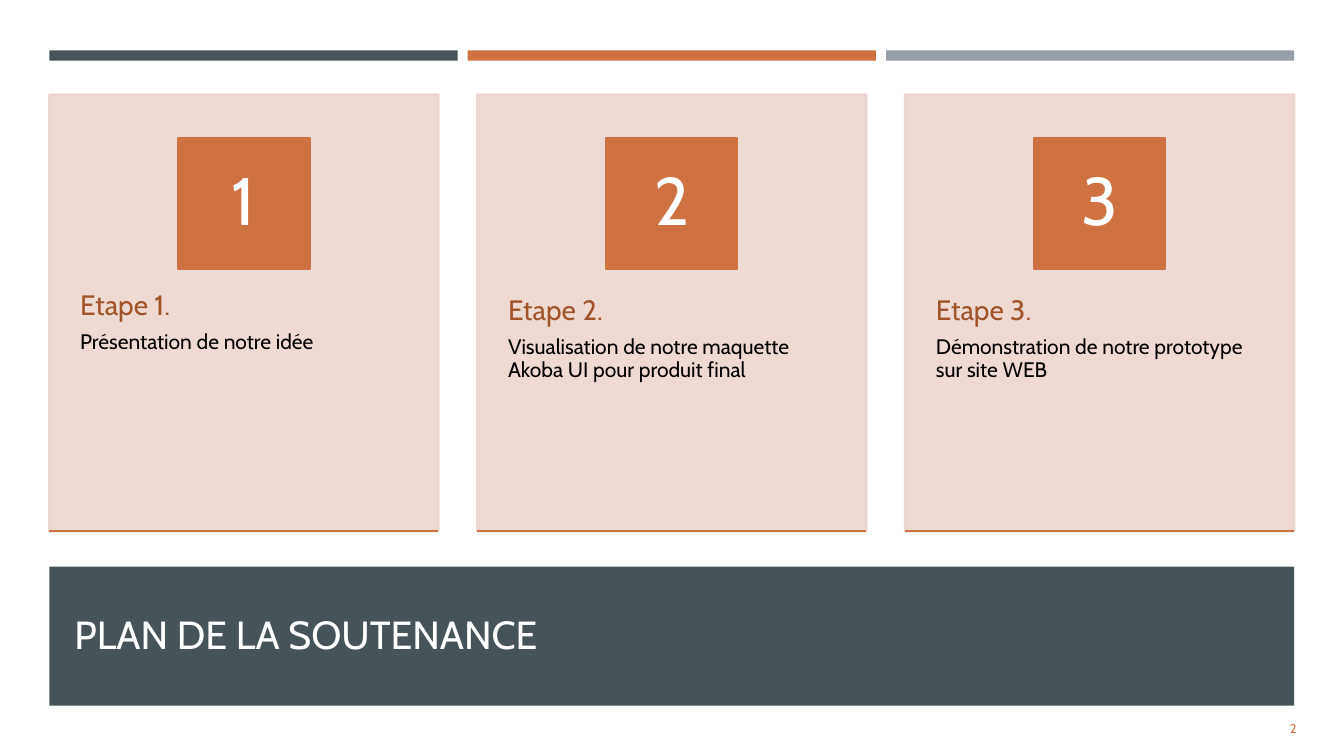
import pptx
import pptx.util
import pptx.dml.color
import pptx.enum.shapes
import pptx.enum.text
import pptx.oxml.ns
import lxml.etree

Pt = pptx.util.Pt
Align = pptx.enum.text.PP_ALIGN
Anchor = pptx.enum.text.MSO_ANCHOR

title = "PLAN DE LA SOUTENANCE"
page = "2"
steps = [
    ("1", "Etape 1.", "Présentation de notre idée"),
    ("2", "Etape\u00a02.".replace("\u00a0", " "), "Visualisation de notre maquette Akoba UI pour produit final"),
    ("3", "Etape 3.", "Démonstration de notre prototype sur site WEB"),
]
SLATE, RUST, GREY, PINK = "465359", "CE7242", "969FA7", "EDD5CF"
bars = [SLATE, RUST, GREY]

LEFT, WIDE = 35.28, 889.2
BAR_W = 291.6
CARD_W, CARD_H, CARD_Y = 277.92, 311.76, 67.68
SIDE = 93.6

deck = pptx.Presentation()
deck.slide_width, deck.slide_height = Pt(960), Pt(540)
slide = deck.slides.add_slide(deck.slide_layouts[6])


def color(code):
    return pptx.dml.color.RGBColor.from_string(code)


def fade(fill):
    tag = pptx.oxml.ns.qn
    for node in fill.iter(tag("a:srgbClr")):
        lxml.etree.SubElement(node, tag("a:alpha")).set("val", "90000")


def box(x, y, w, h, code, edge=False):
    kind = pptx.enum.shapes.MSO_SHAPE.RECTANGLE
    shape = slide.shapes.add_shape(kind, Pt(x), Pt(y), Pt(w), Pt(h))
    shape.shadow.inherit = False
    shape.fill.solid()
    shape.fill.fore_color.rgb = color(code)
    if edge:
        shape.line.color.rgb = color(code)
        shape.line.width = Pt(1.75)
    else:
        shape.line.fill.background()
    return shape


def label(x, y, w, h):
    return slide.shapes.add_textbox(Pt(x), Pt(y), Pt(w), Pt(h))


def write(shape, lines, align=Align.LEFT, anchor=Anchor.MIDDLE, pads=(7.2, 3.6), gap=None, lead=None):
    frame = shape.text_frame
    frame.word_wrap = True
    frame.vertical_anchor = anchor
    frame.margin_left = frame.margin_right = Pt(pads[0])
    frame.margin_top = frame.margin_bottom = Pt(pads[1])
    frame.text = "\n".join(text for text, size, code in lines)
    for para, (text, size, code) in zip(frame.paragraphs, lines):
        para.alignment = align
        para.line_spacing = lead
        if gap:
            para.space_after = Pt(size * gap)
        para.font.name = "Cabin"
        para.font.size = Pt(size)
        para.font.color.rgb = color(code)


def rule(x, y, w):
    kind = pptx.enum.shapes.MSO_CONNECTOR.STRAIGHT
    line = slide.shapes.add_connector(kind, Pt(x), Pt(y), Pt(x + w), Pt(y))
    line.line.color.rgb = color(RUST)
    line.line.width = Pt(1.75)
    props = line._element.spPr
    lxml.etree.SubElement(props, pptx.oxml.ns.qn("a:effectLst"))


box(LEFT, 404.64, WIDE, 99.36, SLATE)
write(label(46.08, 414.72, 868.32, 75.6), [(title, 28, "FFFEFF")])
write(label(850.32, 506.16, 82.8, 28.8), [(page, 9, RUST)], Align.RIGHT)

for i, code in enumerate(bars):
    box(LEFT + i * (WIDE - BAR_W) / 2, 36, BAR_W, 7.4, code)

for i, (num, head, body) in enumerate(steps):
    x = LEFT + i * (WIDE - CARD_W) / 2
    card = box(x, CARD_Y, CARD_W, CARD_H, PINK, True)
    fade(card._element.spPr)
    write(label(x, 185.76, CARD_W, 187.2), [(head, 20, "A2532A"), (body, 15, "000000")],
          anchor=Anchor.TOP, pads=(22, 25.92), gap=0.35, lead=0.9)
    tile = box(x + (CARD_W - SIDE) / 2, 98.64, SIDE, SIDE, RUST, True)
    write(tile, [(num, 48, "FFFFFF")], Align.CENTER, pads=(7.2, 0.72), gap=0.35, lead=0.9)
    rule(x, CARD_Y + CARD_H, CARD_W)

deck.save("out.pptx")
